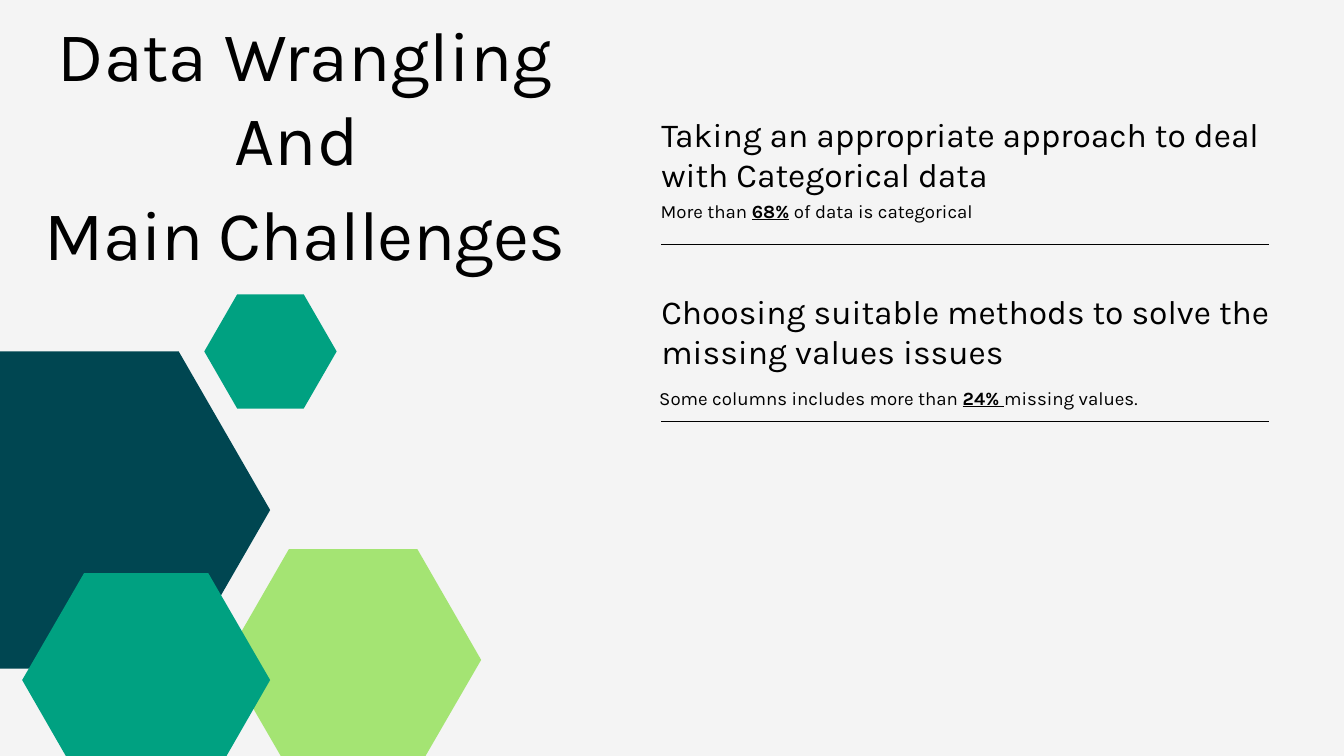
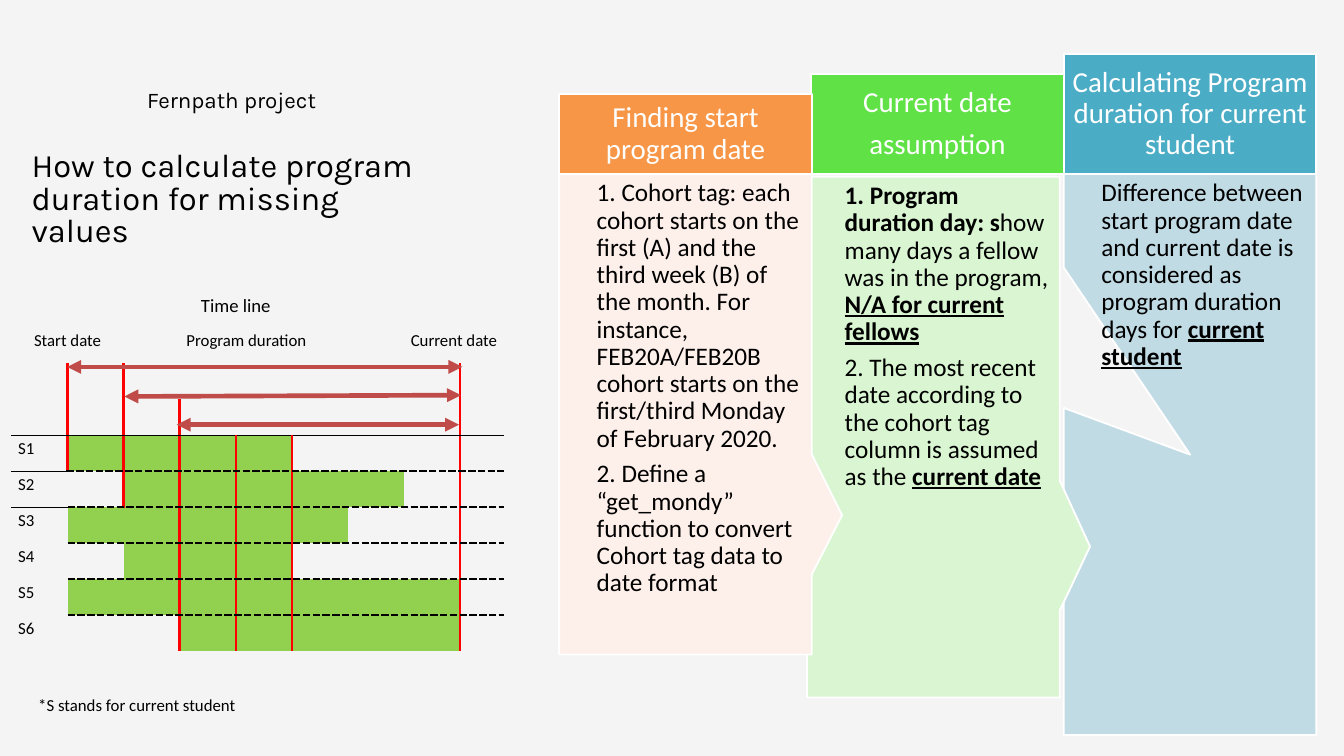
from lxml import etree
from pptx import Presentation
from pptx import util as u
from pptx.dml.color import RGBColor
from pptx.enum import shapes, text
from pptx.oxml import ns

PX = 9144  # EMU; 100 px to the inch
WIDTH, HEIGHT = 2000, 1125
BACKGROUND, BLACK, WHITE = "F4F4F4", "000000", "FFFFFF"
NAVY, TEAL, LIME = "004651", "00A181", "A4E473"
RED, BAR_GREEN, ARROW_RED = "FF0000", "92D050", "BF4C48"
HEADLINE_FONT, BODY_FONT = "Karla", "Calibri"
NO_GRID_STYLE = "{2D5ABB26-0587-4C30-8999-92F81FD0307C}"
CENTER = text.PP_ALIGN.CENTER

# A paragraph is a string or a list of (text, style); style holds b (bold), u (underlined)
HEXAGONS = [  # left, top, width, height, colour
    (-143, 523, 545, 472, NAVY),
    (335, 817, 381, 329, LIME),
    (304, 438, 197, 170, TEAL),
    (33, 853, 369, 319, TEAL),
]
CHALLENGES = [  # heading, heading top, detail, detail left and top, rule top
    ("Taking an appropriate approach to deal with Categorical data", 169,
     [("More than ", ""), ("68%", "bu"), (" of data is categorical", "")], 983, 292, 364),
    ("Choosing suitable methods to solve the missing values issues", 433,
     [("Some columns includes more than ", ""), ("24% ", "bu"), ("missing values.", "")],
     981, 570, 627),
]
STEPS = [  # back to front; boxes are left, top, height
    dict(title=["Calculating Program duration for current student"],
         header=(1583, 81, 178), header_fill="4BACC6",
         body=(1583, 259, 835), body_fill="C1DBE5", tip=(0, 0),
         paragraphs=[[("Difference between start program date and current date is considered "
                       "as program duration days for ", ""), ("current student", "bu")]]),
    dict(title=["Current date", "assumption"],
         header=(1207, 110, 149), header_fill="60E146",
         body=(1201, 263, 775), body_fill="D9F5D1", tip=(0.62, 0.21),
         paragraphs=[[("1. Program duration day: s", "b"),
                      ("how many days a fellow was in the program, ", ""),
                      ("N/A for current fellows", "bu")],
                     [("2. The most recent date according to the cohort tag column "
                       "is assumed as the ", ""), ("current date", "bu")]]),
    dict(title=["Finding start program date"],
         header=(832, 140, 119), header_fill="F79646",
         body=(832, 259, 715), body_fill="FDEFE9", tip=(0.62, 0.21),
         paragraphs=["1. Cohort tag: each cohort starts on the first (A) and the third week (B) "
                     "of the month. For instance, FEB20A/FEB20B cohort starts on the first/third "
                     "Monday of February 2020.",
                     "2. Define a “get_mondy” function to convert Cohort tag data to date format"]),
]
STEP_WIDTH = 376
TABLE_BOX = (17, 433, 733, 536)
TABLE_ROWS, LAST_COLUMN = 10, 65
TABLE_HEADINGS = [  # row, first column, last column, text, size, alignment
    (0, 0, 7, "Time line", 20, CENTER),
    (1, 0, 1, "Start date", 18, CENTER),
    (1, 3, 5, "Program duration", 18, None),
    (1, 7, 8, "Current date", 18, None),
]
FIRST_STUDENT_ROW = 4
STUDENT_BARS = {"S1": (1, 4), "S2": (2, 6), "S3": (1, 5),
                "S4": (2, 4), "S5": (1, 7), "S6": (3, 7)}  # first and last column
DATE_RULES = [(0, 2, 4), (1, 3, 5), (2, 4, 9), (3, 4, 9), (7, 2, 9)]  # column, first and last row
DURATION_ARROWS = [(100, 546, 688, 546), (185, 590, 686, 588), (263, 632, 683, 632)]


def px(value):
    return u.Emu(round(value * PX))


def color(code):
    return RGBColor.from_string(code)


def add_slide(presentation):
    slide = presentation.slides.add_slide(presentation.slide_layouts[6])
    slide.background.fill.solid()
    slide.background.fill.fore_color.rgb = color(BACKGROUND)
    return slide


def write(frame, paragraphs, size, font=HEADLINE_FONT, ink=BLACK, align=None,
          spacing=None, after=None, insets=(0, 0, 0, 0)):
    """Fill a text frame; insets are left, top, right, bottom."""
    frame.word_wrap = True
    (frame.margin_left, frame.margin_top,
     frame.margin_right, frame.margin_bottom) = map(px, insets)
    for index, content in enumerate(paragraphs):
        paragraph = frame.add_paragraph() if index else frame.paragraphs[0]
        format_paragraph(paragraph, size, font, ink, align)
        paragraph.line_spacing = spacing
        paragraph.space_after = after
        for words, style in [(content, "")] if isinstance(content, str) else content:
            run = paragraph.add_run()
            run.text = words
            if "b" in style:
                run.font.bold = True
            if "u" in style:
                run.font.underline = True


def format_paragraph(paragraph, size, font, ink, align):
    paragraph.alignment = align or text.PP_ALIGN.LEFT
    paragraph.font.size = u.Pt(size)
    paragraph.font.name = font
    paragraph.font.color.rgb = color(ink)


def add_text(slide, box, paragraphs, size, **options):
    frame = slide.shapes.add_textbox(*map(px, box)).text_frame
    write(frame, paragraphs, size, **options)
    return frame


def paint(shape, fill, outline=None):
    shape.shadow.inherit = False
    shape.fill.solid()
    shape.fill.fore_color.rgb = color(fill)
    if outline:
        shape.line.color.rgb = color(outline)
        shape.line.width = u.Pt(2)
    else:
        shape.line.fill.background()


def add_hexagon(slide, left, top, width, height, fill):
    corners = [(0, 0.5), (0.25, 0), (0.75, 0), (1, 0.5), (0.75, 1), (0.25, 1)]
    points = [(round(left + x * width), round(top + y * height)) for x, y in corners]
    builder = slide.shapes.build_freeform(*points[0], scale=PX)
    builder.add_line_segments(points[1:], close=True)
    paint(builder.convert_to_shape(), fill)


def add_line(slide, ends, ink, width, arrows=False):
    line = slide.shapes.add_connector(shapes.MSO_CONNECTOR.STRAIGHT, *map(px, ends))
    line.line.color.rgb = color(ink)
    line.line.width = u.Pt(width)
    if arrows:
        outline = line.line._get_or_add_ln()
        for end in ("a:headEnd", "a:tailEnd"):
            etree.SubElement(outline, ns.qn(end), type="triangle")
    etree.SubElement(line._element.spPr, ns.qn("a:effectLst"))


def add_step(slide, step):
    left, top, height = step["body"]
    body = slide.shapes.add_shape(shapes.MSO_SHAPE.RECTANGULAR_CALLOUT,
                                  *map(px, (left, top, STEP_WIDTH, height)))
    body.adjustments[0], body.adjustments[1] = step["tip"]
    paint(body, step["body_fill"], WHITE)
    body.text_frame.vertical_anchor = text.MSO_ANCHOR.TOP
    write(body.text_frame, step["paragraphs"], 27, font=BODY_FONT, spacing=0.9,
          after=u.Pt(9), insets=(56, 9, 9, 9))

    left, top, height = step["header"]
    header = slide.shapes.add_shape(shapes.MSO_SHAPE.RECTANGLE,
                                    *map(px, (left, top, STEP_WIDTH, height)))
    paint(header, step["header_fill"], WHITE)
    header.text_frame.vertical_anchor = text.MSO_ANCHOR.MIDDLE
    write(header.text_frame, step["title"], 31, font=BODY_FONT, ink=WHITE, align=CENTER,
          spacing=0.9, after=u.Pt(11), insets=(11, 11, 11, 11))


def set_borders(cell, borders):
    """Draw borders given as {side: (colour, points, dash)}."""
    properties = cell._tc.get_or_add_tcPr()
    sides = [side for side in "LRTB" if side in borders]
    for index, side in enumerate(sides):
        ink, width, dash = borders[side]
        line = etree.Element(ns.qn("a:ln" + side), w=str(u.Pt(width)))
        fill = etree.SubElement(line, ns.qn("a:solidFill"))
        etree.SubElement(fill, ns.qn("a:srgbClr"), val=ink)
        etree.SubElement(line, ns.qn("a:prstDash"), val=dash)
        properties.insert(index, line)


def timeline_borders(columns):
    borders = {}

    def rule(row, column, sides, line):
        """Set a shared edge on the cells at both of its sides."""
        near, far = sides
        borders.setdefault((row, column), {})[near] = line
        neighbour = (row + 1, column) if near == "B" else (row, column + 1)
        borders.setdefault(neighbour, {})[far] = line

    for column in range(columns):
        rule(FIRST_STUDENT_ROW - 1, column, "BT", (BLACK, 1, "solid"))
    rule(FIRST_STUDENT_ROW, 0, "BT", (BLACK, 1, "solid"))
    for row in range(FIRST_STUDENT_ROW, TABLE_ROWS - 1):
        for column in range(1, columns):
            rule(row, column, "BT", (BLACK, 2.25, "dash"))
    for column, first, last in DATE_RULES:
        for row in range(first, last + 1):
            rule(row, column, "RL", (RED, 3, "solid"))
    return borders


def add_timeline(slide):
    columns = 9
    frame = slide.shapes.add_table(TABLE_ROWS, columns, *map(px, TABLE_BOX))
    table = frame.table
    table.first_row = table.horz_banding = False
    table._tbl.tblPr.find(ns.qn("a:tableStyleId")).text = NO_GRID_STYLE
    for column in table.columns:
        column.width = px((TABLE_BOX[2] - LAST_COLUMN) / (columns - 1))
    table.columns[columns - 1].width = px(LAST_COLUMN)
    for row in table.rows:
        row.height = px(TABLE_BOX[3] / TABLE_ROWS)

    labels = list(TABLE_HEADINGS)
    bars = set()
    for row, (student, (first, last)) in enumerate(STUDENT_BARS.items(), FIRST_STUDENT_ROW):
        labels.append((row, 0, 0, student, 18, None))
        bars.update((row, column) for column in range(first, last + 1))
    for row, first, last, label, size, align in labels:
        cell = table.cell(row, first)
        if last > first:
            cell.merge(table.cell(row, last))
        cell.text = label
        format_paragraph(cell.text_frame.paragraphs[0], size, BODY_FONT, BLACK, align)

    borders = timeline_borders(columns)
    for row in range(TABLE_ROWS):
        for column in range(columns):
            cell = table.cell(row, column)
            if (row, column) in bars:
                cell.fill.solid()
                cell.fill.fore_color.rgb = color(BAR_GREEN)
            else:
                cell.fill.background()
            set_borders(cell, borders.get((row, column), {}))


def build_challenges(presentation):
    slide = add_slide(presentation)
    title = add_text(slide, (0, 17, 908, 388), ["Data Wrangling", "And ", "Main Challenges"],
                     75, align=CENTER)
    last_line = title.paragraphs[2]
    last_line.line_spacing = u.Pt(102)
    last_line.runs[0].font._element.set("spc", "-80")
    for hexagon in HEXAGONS:
        add_hexagon(slide, *hexagon)
    for heading, heading_top, detail, detail_left, detail_top, rule_top in CHALLENGES:
        add_text(slide, (984, heading_top, 992, 121), [heading], 36, spacing=u.Pt(43.2))
        add_text(slide, (detail_left, detail_top, 992, 37), [detail], 20, spacing=u.Pt(28))
        add_line(slide, (984, rule_top, 1888, rule_top), BLACK, 0.75)


def build_duration(presentation):
    slide = add_slide(presentation)
    add_text(slide, (47, 225, 586, 148),
             ["How to calculate program duration for missing values"], 35, spacing=u.Pt(35))
    add_text(slide, (219, 121, 355, 45), ["Fernpath project"], 24, spacing=u.Pt(33.6))
    for step in STEPS:
        add_step(slide, step)
    add_timeline(slide)
    for ends in DURATION_ARROWS:
        add_line(slide, ends, ARROW_RED, 5, arrows=True)
    add_text(slide, (47, 1029, 345, 40), ["*S stands for current student"], 18,
             font=BODY_FONT, insets=(10, 5, 10, 5))


def main():
    presentation = Presentation()
    presentation.slide_width, presentation.slide_height = px(WIDTH), px(HEIGHT)
    build_challenges(presentation)
    build_duration(presentation)
    presentation.save("out.pptx")


if __name__ == "__main__":
    main()
